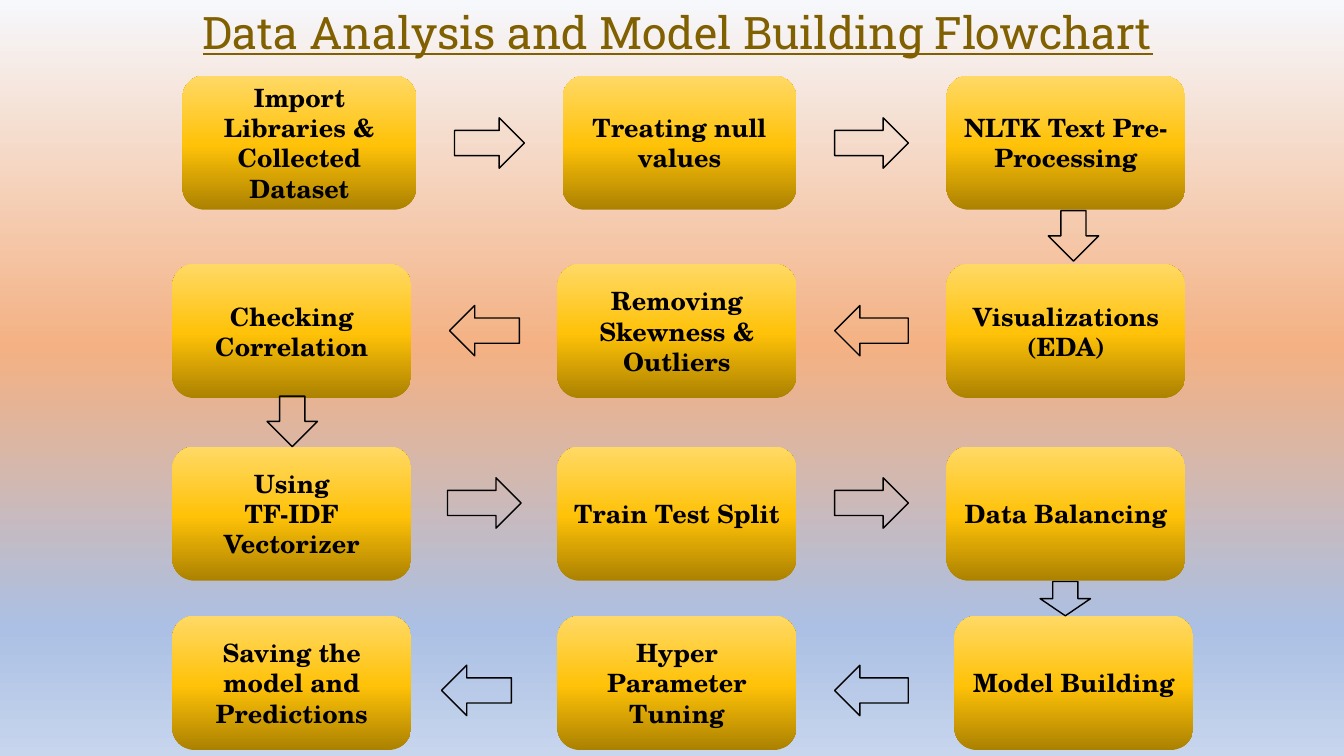
"""Build a one-slide flowchart of data analysis and model building."""
from copy import deepcopy

from pptx import Presentation
from pptx.dml.color import RGBColor
from pptx.enum.shapes import MSO_SHAPE
from pptx.enum.text import MSO_ANCHOR, MSO_AUTO_SIZE, PP_ALIGN
from pptx.oxml.ns import qn
from pptx.util import Pt

STEP = MSO_SHAPE.FLOWCHART_ALTERNATE_PROCESS
RIGHT, LEFT, DOWN = MSO_SHAPE.RIGHT_ARROW, MSO_SHAPE.LEFT_ARROW, MSO_SHAPE.DOWN_ARROW
CENTER, MIDDLE = PP_ALIGN.CENTER, MSO_ANCHOR.MIDDLE
GROW = MSO_AUTO_SIZE.SHAPE_TO_FIT_TEXT

TITLE = "Data Analysis and Model Building Flowchart"
SKY = [(0, "F6F8FC"), (0.46, "F4B183"), (0.83, "ABC0E4"), (1, "C7D5ED")]
GOLD = [(0, "AB8100"), (0.48, "FFC208"), (1, "FFD966")]

STEP_HEIGHT, STEP_WIDTH, NARROW = 95.8, 170.6, 167
COLUMNS = [(123.1, STEP_WIDTH), (398.2, STEP_WIDTH), (676.1, STEP_WIDTH)]
TOP_COLUMNS = [(130.3, NARROW), (401.8, NARROW), (676.1, STEP_WIDTH)]
LAST_COLUMNS = COLUMNS[:2] + [(681.8, STEP_WIDTH)]
ARROW_SIZE = 36
SECOND_ARROW = (596.2, 52.6)

ROWS = [
    {"top": 54, "columns": TOP_COLUMNS, "arrow": RIGHT, "arrow_top": 84.2,
     "first_arrow": (324.7, 49.9),
     "steps": ["Import Libraries & Collected Dataset", "Treating null values",
               "NLTK Text Pre-Processing"]},
    {"top": 188.6, "columns": COLUMNS, "arrow": LEFT, "arrow_top": 218.2,
     "first_arrow": (321.1, 49.9),
     "steps": ["Checking Correlation", "Removing Skewness & Outliers",
               "Visualizations\n(EDA)"]},
    {"top": 319, "columns": COLUMNS, "arrow": RIGHT, "arrow_top": 341.3,
     "first_arrow": (319.7, 52.6),
     "steps": ["Using\nTF-IDF Vectorizer", "Train Test Split", "Data Balancing"]},
    {"top": 439.9, "columns": LAST_COLUMNS, "arrow": LEFT, "arrow_top": 475.2,
     "first_arrow": (315.4, 49.9),
     "steps": ["Saving the model and Predictions", "Hyper Parameter Tuning",
               "Model Building"]},
]
DOWN_ARROWS = [(748.8, 150.5, 36), (190.8, 283, 36), (743, 415.4, 24.5)]


def color(hex_value):
    return RGBColor.from_string(hex_value)


def paint_gradient(fill, owner, stops, angle):
    fill.gradient()
    stop_list = owner.element.find(".//" + qn("a:gsLst"))
    for _ in stops[2:]:
        stop_list.append(deepcopy(stop_list[0]))
    for stop, (position, hex_value) in zip(fill.gradient_stops, stops):
        stop.position = position
        stop.color.rgb = color(hex_value)
    fill.gradient_angle = angle


def write(frame, text, *, font, size, ink, bold=False, underline=False, anchor=None):
    frame.word_wrap = True
    if anchor is not None:
        frame.vertical_anchor = anchor
    frame.text = text
    for paragraph in frame.paragraphs:
        paragraph.alignment = CENTER
        for run in paragraph.runs:
            run.font.name, run.font.size = font, Pt(size)
            run.font.bold, run.font.underline = bold, underline
            run.font.color.rgb = color(ink)


def add_outline(slide, kind, left, top, width, height):
    shape = slide.shapes.add_shape(kind, Pt(left), Pt(top), Pt(width), Pt(height))
    shape.shadow.inherit = False
    return shape


def add_step(slide, text, left, top, width):
    step = add_outline(slide, STEP, left, top, width, STEP_HEIGHT)
    paint_gradient(step.fill, step, GOLD, 90)
    step.line.fill.background()
    write(step.text_frame, text, font="TeX Gyre Schola", size=18, ink="000000",
          bold=True, anchor=MIDDLE)


def add_arrow(slide, kind, left, top, width, height):
    arrow = add_outline(slide, kind, left, top, width, height)
    arrow.fill.background()
    arrow.line.color.rgb = color("000000")
    arrow.line.width = Pt(1)


def main():
    deck = Presentation()
    deck.slide_width, deck.slide_height = Pt(960), Pt(540)
    slide = deck.slides.add_slide(deck.slide_layouts[6])
    paint_gradient(slide.background.fill, slide, SKY, 270)

    title = slide.shapes.add_textbox(Pt(42.5), Pt(0), Pt(883.4), Pt(67.7))
    write(title.text_frame, TITLE, font="Roboto Slab", size=32, ink="806000",
          underline=True)
    title.text_frame.auto_size = GROW

    for row in ROWS:
        for text, (left, width) in zip(row["steps"], row["columns"]):
            add_step(slide, text, left, row["top"], width)
        for left, width in (row["first_arrow"], SECOND_ARROW):
            add_arrow(slide, row["arrow"], left, row["arrow_top"], width, ARROW_SIZE)
    for left, top, height in DOWN_ARROWS:
        add_arrow(slide, DOWN, left, top, ARROW_SIZE, height)

    deck.save("out.pptx")


if __name__ == "__main__":
    main()
